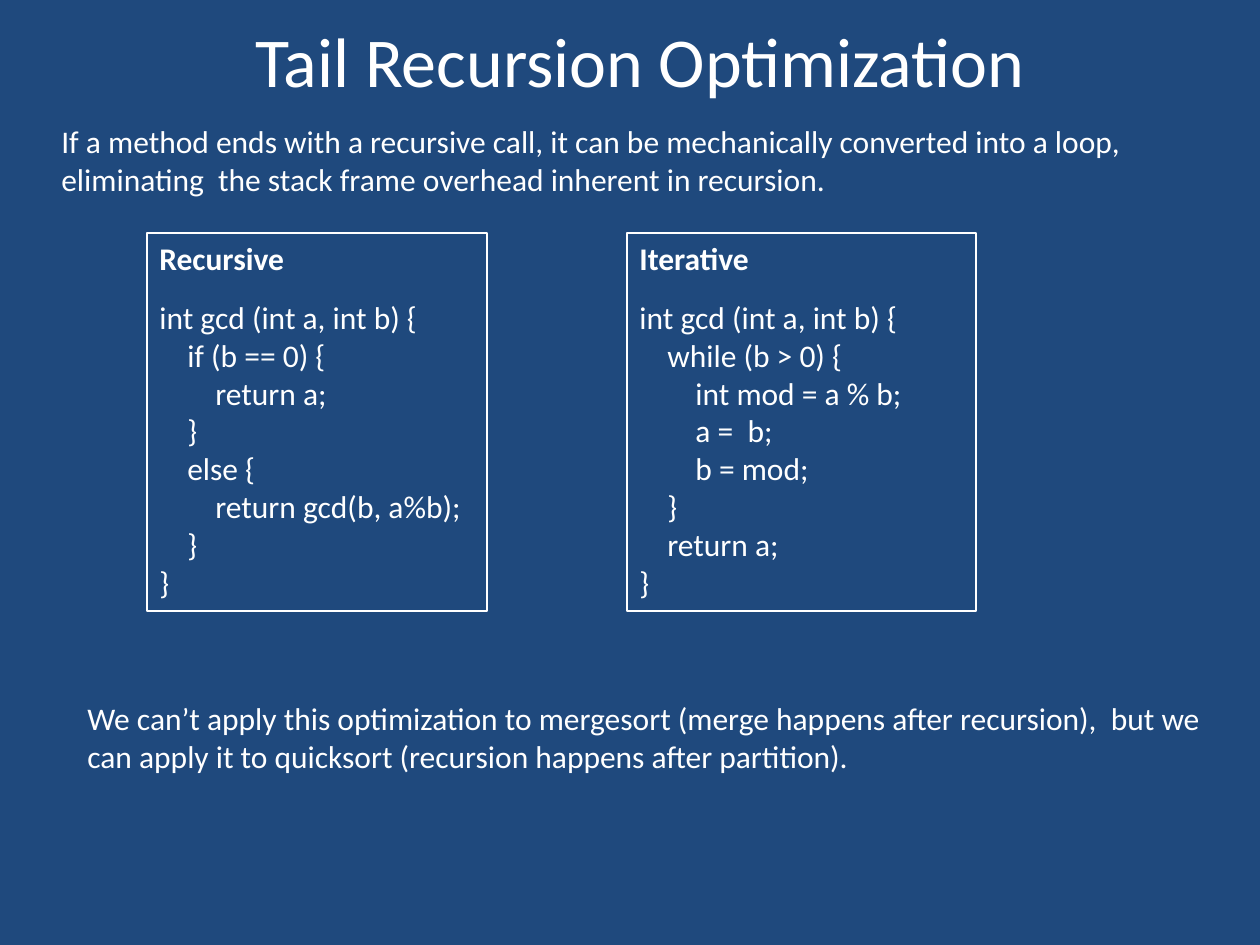
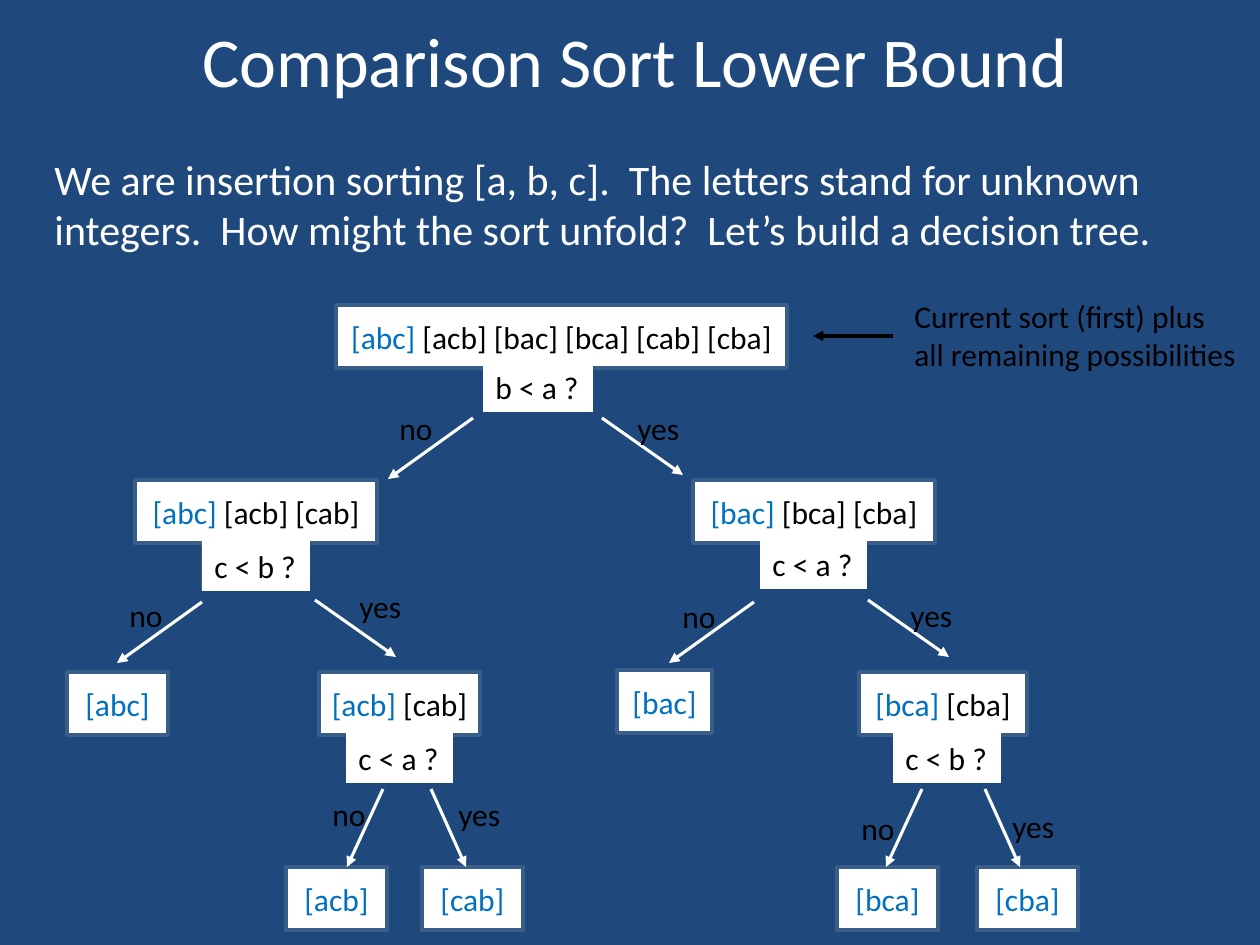
"""Build two lecture slides: tail recursion and a sorting decision tree."""
from dataclasses import dataclass, field
from typing import Any, NamedTuple, Optional

from lxml import etree
from pptx import Presentation
from pptx import util as u
from pptx.dml import color
from pptx.enum import shapes, text
from pptx.oxml import ns

EMU_PER_PIXEL = 914400 / 126


@dataclass(frozen=True)
class Theme:
    """Colours, type sizes and line widths of the deck."""
    font: str = "Calibri"
    background: str = "1F497D"
    light: str = "FFFFFF"
    dark: str = "000000"
    current: str = "0070C0"
    node_edge: str = "395E89"
    title_size: int = 40
    lead_size: int = 24
    text_size: int = 18
    heading_gap: int = 12
    code_indent: int = 28
    frame_width: float = 0.75
    arrow_width: float = 1.75
    node_width: float = 2


class Box(NamedTuple):
    """Place and size in pixels."""
    left: int
    top: int
    width: int
    height: int


class Point(NamedTuple):
    """Position or offset in pixels."""
    x: int
    y: int


class Run(NamedTuple):
    """Words in one style."""
    words: str
    ink: str
    bold: bool = False


@dataclass(frozen=True)
class Line:
    """One paragraph with its indent depth and layout."""
    runs: tuple[Run, ...]
    depth: int = 0
    formats: dict[str, Any] = field(default_factory=dict)


class Node(NamedTuple):
    """Orders still possible at one point of the tree, current one first."""
    orders: str
    left: int
    top: int
    width: int


class Slope(NamedTuple):
    """Offsets of the two arrows that leave a question."""
    no: Point
    yes: Point


class Split(NamedTuple):
    """A question with its two answers."""
    question: str
    place: Box
    slope: Slope
    no_start: Point
    yes_start: Point
    no_label: Point
    yes_label: Point


THEME = Theme()
CENTRED = {"alignment": text.PP_ALIGN.CENTER}
NODE_HEIGHT = 63
LABEL_HEIGHT = 50
LABEL_WIDTHS = {"no": 59, "yes": 68}
WIDE = Slope(Point(-85, 61), Point(81, 57))
STEEP = Slope(Point(-36, 78), Point(35, 78))

CODE_FRAMES = (
    ("Recursive", Box(147, 233, 340, 378), (
        (0, "int gcd (int a, int b) {"),
        (1, "if (b == 0) {"),
        (2, "return a;"),
        (1, "}"),
        (1, "else {"),
        (2, "return gcd(b, a%b);"),
        (1, "}"),
        (0, "}"),
    )),
    ("Iterative", Box(627, 233, 349, 378), (
        (0, "int gcd (int a, int b) {"),
        (1, "while (b > 0) {"),
        (2, "int mod = a % b;"),
        (2, "a =  b;"),
        (2, "b = mod;"),
        (1, "}"),
        (1, "return a;"),
        (0, "}"),
    )),
)

NODES = (
    Node("[abc] [acb] [bac] [bca] [cab] [cba]", 336, 305, 451),
    Node("[abc] [acb] [cab]", 135, 480, 242),
    Node("[bac] [bca] [cba]", 693, 480, 242),
    Node("[abc]", 67, 672, 101),
    Node("[acb] [cab]", 319, 672, 161),
    Node("[bac]", 617, 670, 95),
    Node("[bca] [cba]", 859, 672, 168),
    *(Node(order, left, 867, 101) for order, left in
      (("[acb]", 286), ("[cab]", 422), ("[bca]", 837), ("[cba]", 977))),
)

SPLITS = (
    Split("b < a ?", Box(483, 362, 110, 50), WIDE, Point(473, 418),
          Point(602, 418), Point(387, 403), Point(625, 403)),
    Split("c < b ?", Box(202, 541, 108, 50), WIDE, Point(202, 602),
          Point(315, 600), Point(117, 590), Point(347, 581)),
    Split("c < a ?", Box(760, 539, 107, 50), WIDE, Point(754, 602),
          Point(868, 600), Point(670, 591), Point(898, 590)),
    Split("c < a ?", Box(346, 733, 107, 50), STEEP, Point(383, 789),
          Point(431, 789), Point(320, 789), Point(446, 789)),
    Split("c < b ?", Box(893, 733, 108, 50), STEEP, Point(922, 789),
          Point(985, 789), Point(849, 803), Point(1000, 801)),
)


def px(pixels: float) -> u.Emu:
    """Turn pixels into EMU."""
    return u.Emu(round(pixels * EMU_PER_PIXEL))


def rgb(value: str) -> color.RGBColor:
    """Turn a hex string into a colour."""
    return color.RGBColor.from_string(value)


def apply(target: Any, formats: dict[str, Any]) -> None:
    """Set each named attribute on the target."""
    for name, value in formats.items():
        setattr(target, name, value)


def plain(words: str, ink: str) -> Line:
    """Make a one-run paragraph."""
    return Line((Run(words, ink),))


def write(frame: Any, lines: list[Line], size: int = THEME.text_size,
          wrap: bool = True, anchor: Any = text.MSO_ANCHOR.TOP) -> None:
    """Fill a text frame with formatted paragraphs."""
    apply(frame, {
        "word_wrap": wrap, "auto_size": text.MSO_AUTO_SIZE.NONE,
        "vertical_anchor": anchor,
        "margin_left": u.Inches(0.1), "margin_right": u.Inches(0.1),
        "margin_top": u.Inches(0.05), "margin_bottom": u.Inches(0.05),
    })
    for number, line in enumerate(lines):
        paragraph = frame.add_paragraph() if number else frame.paragraphs[0]
        apply(paragraph, {"alignment": text.PP_ALIGN.LEFT, **line.formats})
        if line.depth:
            margin = px(line.depth * THEME.code_indent)
            paragraph._p.get_or_add_pPr().set("marL", str(int(margin)))
        for part in line.runs:
            run = paragraph.add_run()
            run.text = part.words
            apply(run.font, {"name": THEME.font, "size": u.Pt(size),
                             "bold": part.bold})
            run.font.color.rgb = rgb(part.ink)


def add_titled_slide(deck: Any, title: str, left: int) -> Any:
    """Add a slide with the shared title style."""
    slide = deck.slides.add_slide(deck.slide_layouts[5])
    heading = slide.shapes.title
    apply(heading, {"left": px(left), "top": px(10),
                    "width": px(1134), "height": px(98)})
    write(heading.text_frame,
          [Line((Run(title, THEME.light),), formats=CENTRED)],
          THEME.title_size, anchor=text.MSO_ANCHOR.MIDDLE)
    return slide


def add_words(slide: Any, place: Box, lines: list[Line],
              size: int = THEME.text_size, wrap: bool = True) -> None:
    """Add free text."""
    words = slide.shapes.add_textbox(*map(px, place))
    write(words.text_frame, lines, size, wrap)


def add_panel(slide: Any, place: Box, lines: list[Line],
              fill: Optional[str] = None, edge: Optional[str] = None,
              edge_width: float = 0, anchor: Any = text.MSO_ANCHOR.TOP) -> None:
    """Add a rectangle that holds text."""
    panel = slide.shapes.add_shape(shapes.MSO_SHAPE.RECTANGLE, *map(px, place))
    panel.shadow.inherit = False
    for paint, ink in ((panel.fill, fill), (panel.line.fill, edge)):
        if ink:
            paint.solid()
            paint.fore_color.rgb = rgb(ink)
        else:
            paint.background()
    if edge:
        panel.line.width = u.Pt(edge_width)
    write(panel.text_frame, lines, wrap=False, anchor=anchor)


def add_arrow(slide: Any, start: Point, end: Point, ink: str) -> None:
    """Add a straight arrow with a head at its end."""
    arrow = slide.shapes.add_connector(
        shapes.MSO_CONNECTOR.STRAIGHT, *map(px, (*start, *end)))
    arrow.line.color.rgb = rgb(ink)
    arrow.line.width = u.Pt(THEME.arrow_width)
    properties = arrow._element.spPr
    etree.SubElement(properties.find(ns.qn("a:ln")), ns.qn("a:tailEnd"),
                     type="triangle")
    etree.SubElement(properties, ns.qn("a:effectLst"))


def add_node(slide: Any, node: Node) -> None:
    """Add a tree node with its current order highlighted."""
    current, gap, remaining = node.orders.partition(" ")
    runs = [Run(current + gap, THEME.current)]
    if remaining:
        runs.append(Run(remaining, THEME.dark))
    add_panel(slide, Box(node.left, node.top, node.width, NODE_HEIGHT),
              [Line(tuple(runs), formats=CENTRED)], THEME.light,
              THEME.node_edge, THEME.node_width, text.MSO_ANCHOR.MIDDLE)


def add_split(slide: Any, split: Split) -> None:
    """Add a question, its arrows and its answers."""
    add_panel(slide, split.place, [plain(split.question, THEME.dark)],
              THEME.light)
    for answer, start, offset, label in (
            ("no", split.no_start, split.slope.no, split.no_label),
            ("yes", split.yes_start, split.slope.yes, split.yes_label)):
        end = Point(start.x + offset.x, start.y + offset.y)
        add_arrow(slide, start, end, THEME.light)
        add_words(slide, Box(*label, LABEL_WIDTHS[answer], LABEL_HEIGHT),
                  [plain(answer, THEME.dark)], wrap=False)


def build_recursion(deck: Any) -> None:
    """Build the slide that compares recursion with a loop."""
    slide = add_titled_slide(deck, "Tail Recursion Optimization", 73)
    add_words(slide, Box(49, 116, 1157, 89), [plain(
        "If a method ends with a recursive call, it can be mechanically "
        "converted into a loop, eliminating  the stack frame overhead "
        "inherent in recursion.", THEME.light)])
    for heading, place, code in CODE_FRAMES:
        lines = [Line((Run(heading, THEME.light, True),),
                      formats={"space_after": u.Pt(THEME.heading_gap)})]
        lines += [Line((Run(words, THEME.light),), depth)
                  for depth, words in code]
        add_panel(slide, place, lines, edge=THEME.light,
                  edge_width=THEME.frame_width)
    add_words(slide, Box(75, 693, 1157, 89), [plain(
        "We can’t apply this optimization to mergesort (merge happens after "
        "recursion),  but we can apply it to quicksort (recursion happens "
        "after partition).", THEME.light)])


def build_decision_tree(deck: Any) -> None:
    """Build the slide with the decision tree."""
    slide = add_titled_slide(deck, "Comparison Sort Lower Bound", 68)
    add_words(slide, Box(42, 147, 1176, 115), [plain(
        "We are insertion sorting [a, b, c].  The letters stand for unknown "
        "integers.  How might the sort unfold?  Let’s build a decision tree.",
        THEME.light)], THEME.lead_size)
    for node in NODES:
        add_node(slide, node)
    for split in SPLITS:
        add_split(slide, split)
    add_words(slide, Box(902, 291, 350, 89),
              [plain(words, THEME.dark) for words in
               ("Current sort (first) plus", "all remaining possibilities")])
    add_arrow(slide, Point(893, 336), Point(813, 336), THEME.dark)


def main() -> None:
    """Build and save the deck."""
    deck = Presentation()
    apply(deck, {"slide_width": px(1260), "slide_height": px(945)})
    backdrop = deck.slide_master.background.fill
    backdrop.solid()
    backdrop.fore_color.rgb = rgb(THEME.background)
    build_recursion(deck)
    build_decision_tree(deck)
    deck.save("out.pptx")


main()
